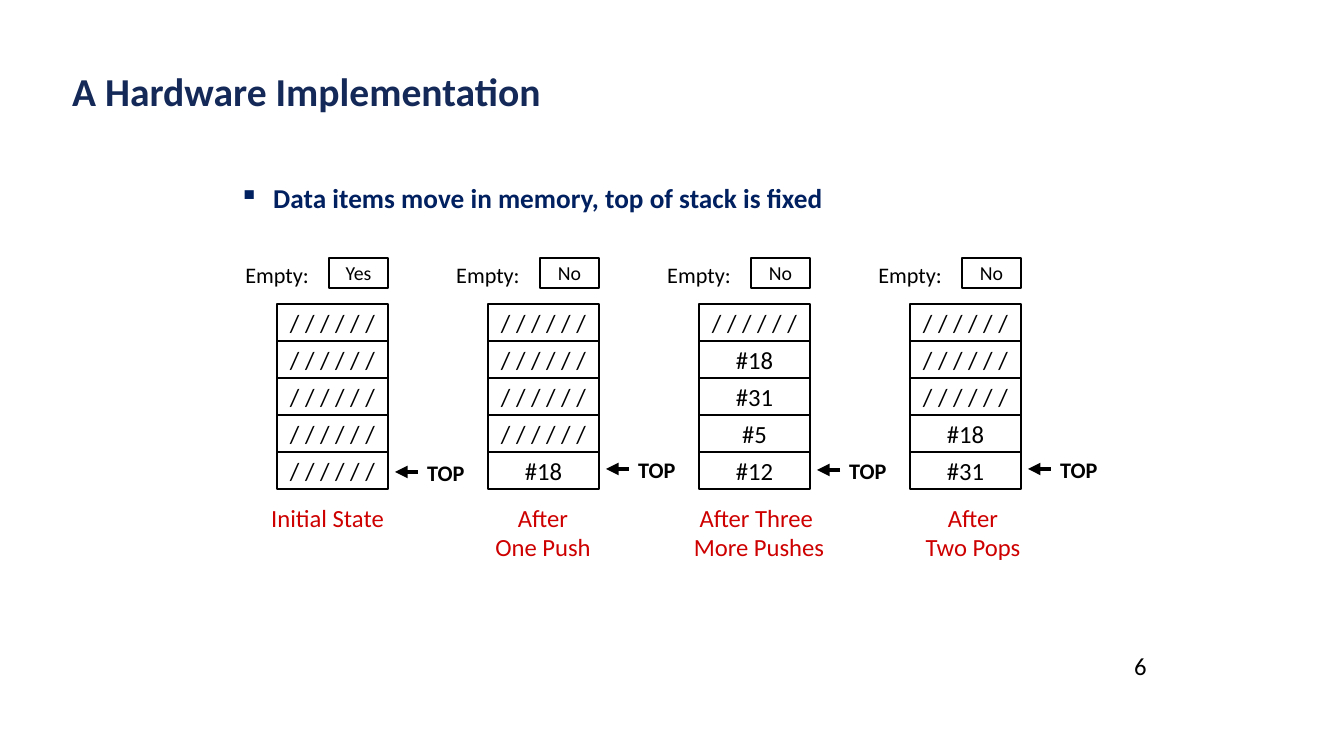
from pptx import Presentation
from pptx.dml.color import RGBColor
from pptx.enum.shapes import MSO_CONNECTOR as Link, MSO_SHAPE as Shape
from pptx.enum.text import MSO_ANCHOR as Anchor, PP_ALIGN as Align
from pptx.oxml import parse_xml
from pptx.oxml.ns import nsdecls
from pptx.util import Pt

SCALE = 914400 / 134.4
BLACK = RGBColor(0x00, 0x00, 0x00)
NAVY = RGBColor(0x14, 0x29, 0x58)
BLUE = RGBColor(0x00, 0x20, 0x60)
RED = RGBColor(0xCE, 0x00, 0x00)

TITLE = {"size": Pt(21.2), "bold": True}
POINT = {"size": Pt(14.6), "bold": True}
BODY = {"size": Pt(13.2)}
LABEL = {"size": Pt(11.9)}
TOP = {"size": Pt(11.9), "bold": True}
FLAG = {"size": Pt(10.6)}

LEFT, STEP = 277, 211
WIDE, HIGH = 111, 37
FREE = "/ / / / / /"
STACKS = [
    ("Yes", [], 472, "Initial State", 257, 141),
    ("No", ["#18"], 469, "After\nOne Push", 481, 124),
    ("No", ["#18", "#31", "#5", "#12"], 470,
     "After Three \nMore Pushes", 679, 160),
    ("No", ["#18", "#31"], 469, "After\nTwo Pops", 911, 124),
]


def px(*nums):
    return [round(num * SCALE) for num in nums]


def write(frame, text, style, color, align, wrap=False):
    frame.word_wrap = wrap
    frame.text = text
    for para in frame.paragraphs:
        para.alignment = align
        font = para.runs[0].font
        font.name = "Calibri"
        font.color.rgb = color
        for key, value in style.items():
            setattr(font, key, value)


def add_text(slide, area, text, style, color=BLACK, align=Align.LEFT, wrap=False):
    box = slide.shapes.add_textbox(*px(*area))
    write(box.text_frame, text, style, color, align, wrap)
    return box


def add_point(slide, area, text):
    box = add_text(slide, area, text, POINT, BLUE, wrap=True)
    props = box.text_frame.paragraphs[0]._p.get_or_add_pPr()
    indent = px(34)[0]
    props.set("marL", str(indent))
    props.set("indent", str(-indent))
    props.append(parse_xml(f'<a:buChar {nsdecls("a")} char="▪"/>'))


def add_cell(slide, area, text, style):
    cell = slide.shapes.add_shape(Shape.RECTANGLE, *px(*area))
    cell.shadow.inherit = False
    cell.fill.background()
    cell.line.color.rgb = BLACK
    cell.line.width = Pt(0.75)
    cell.text_frame.vertical_anchor = Anchor.MIDDLE
    write(cell.text_frame, text, style, BLACK, Align.CENTER)


def add_arrow(slide, start, end, y):
    arrow = slide.shapes.add_connector(Link.STRAIGHT, *px(start, y, end, y))
    arrow.line.color.rgb = BLACK
    arrow.line.width = Pt(2.25)
    line = arrow.line._get_or_add_ln()
    line.append(parse_xml(f'<a:tailEnd {nsdecls("a")} type="triangle"/>'))
    arrow._element.spPr.append(parse_xml(f'<a:effectLst {nsdecls("a")}/>'))


def add_stack(slide, x, flag, items, y, name, left, width):
    add_text(slide, (x - 46, 255, 91, 40), "Empty:", LABEL, align=Align.RIGHT)
    add_cell(slide, (x + 52, 258, 59, 30), flag, FLAG)
    cells = [FREE] * (5 - len(items)) + items
    for row, text in enumerate(cells):
        add_cell(slide, (x, 304 + row * HIGH, WIDE, HIGH), text, BODY)
    add_arrow(slide, x + 141, x + 118, y)
    add_text(slide, (x + 137, y - 19, 66, 40), "TOP", TOP)
    tall = 43 + 30 * name.count("\n")
    add_text(slide, (left, 496, width, tall), name, BODY, RED, Align.CENTER)


def main():
    deck = Presentation()
    deck.slide_width, deck.slide_height = px(1344, 756)
    slide = deck.slides.add_slide(deck.slide_layouts[6])
    add_text(slide, (59, 60, 1235, 73), "A Hardware Implementation",
             TITLE, NAVY, wrap=True)
    add_point(slide, (226, 175, 899, 47),
              "Data items move in memory, top of stack is fixed")
    for col, stack in enumerate(STACKS):
        add_stack(slide, LEFT + col * STEP, *stack)
    add_text(slide, (1121, 644, 40, 43), "6", BODY)
    deck.save("out.pptx")


if __name__ == "__main__":
    main()
